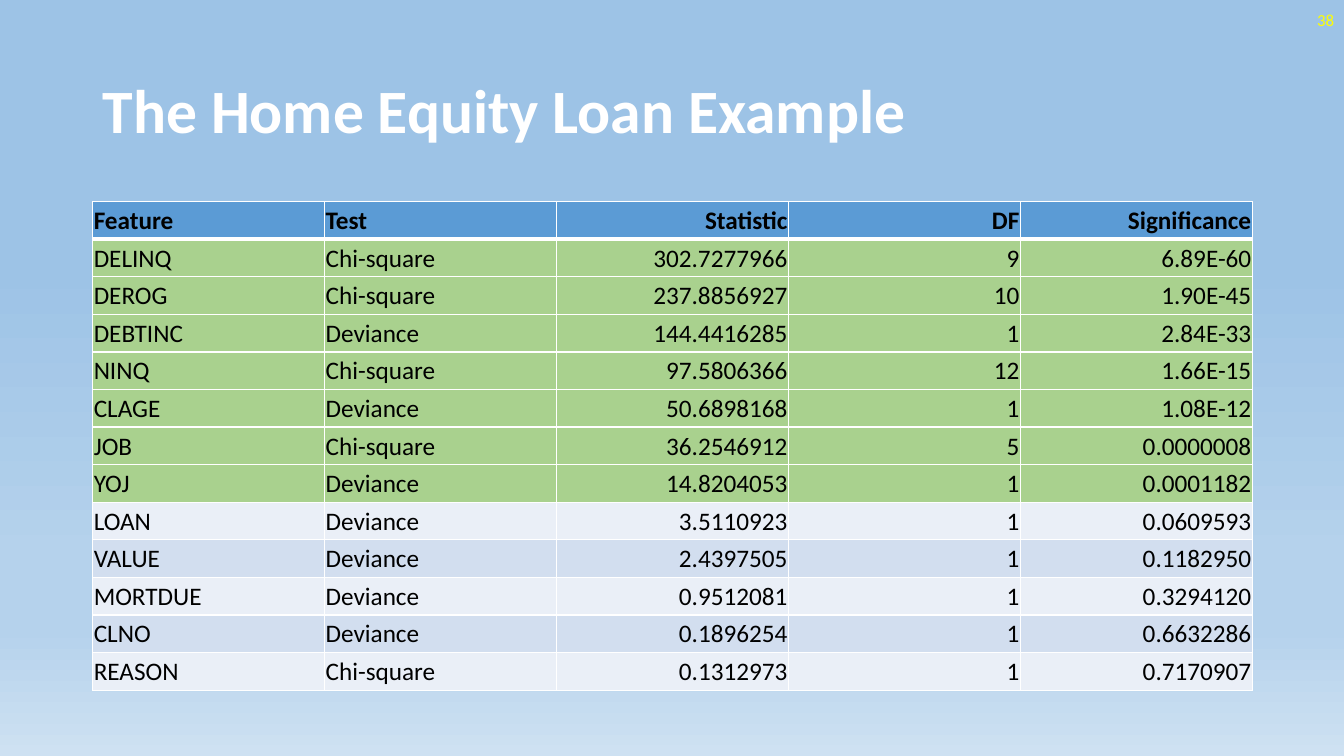
from lxml.etree import SubElement
from pptx import Presentation
from pptx.dml.color import RGBColor
from pptx.enum.text import MSO_ANCHOR as Anchor, PP_ALIGN as Align
from pptx.oxml.ns import qn
from pptx.util import Inches, Pt

WHITE = RGBColor(0xFF, 0xFF, 0xFF)
BLACK = RGBColor(0, 0, 0)
YELLOW = RGBColor(0xFF, 0xFF, 0)
HEADER_BLUE = RGBColor(0x5B, 0x9B, 0xD5)
GREEN = RGBColor(0xA9, 0xD1, 0x8E)
BAND_LIGHT = RGBColor(0xEA, 0xEF, 0xF7)
BAND_DARK = RGBColor(0xD2, 0xDE, 0xEF)
SKY = RGBColor(0x9D, 0xC3, 0xE6)
SKY_MID = RGBColor(0xB5, 0xD2, 0xEC)
SKY_PALE = RGBColor(0xCE, 0xE1, 0xF2)

ROWS = [
    ("Feature", "Test", "Statistic", "DF", "Significance"),
    ("DELINQ", "Chi-square", "302.7277966", "9", "6.89E-60"),
    ("DEROG", "Chi-square", "237.8856927", "10", "1.90E-45"),
    ("DEBTINC", "Deviance", "144.4416285", "1", "2.84E-33"),
    ("NINQ", "Chi-square", "97.5806366", "12", "1.66E-15"),
    ("CLAGE", "Deviance", "50.6898168", "1", "1.08E-12"),
    ("JOB", "Chi-square", "36.2546912", "5", "0.0000008"),
    ("YOJ", "Deviance", "14.8204053", "1", "0.0001182"),
    ("LOAN", "Deviance", "3.5110923", "1", "0.0609593"),
    ("VALUE", "Deviance", "2.4397505", "1", "0.1182950"),
    ("MORTDUE", "Deviance", "0.9512081", "1", "0.3294120"),
    ("CLNO", "Deviance", "0.1896254", "1", "0.6632286"),
    ("REASON", "Chi-square", "0.1312973", "1", "0.7170907"),
]
LAST_SIGNIFICANT = 7


def add_run(p, text, size, color, bold=False):
    r = p.add_run()
    r.text = text
    r.font.name = "Calibri"
    r.font.size = Pt(size)
    r.font.bold = bold
    r.font.color.rgb = color


def add_border(cell, side, width):
    ln = SubElement(cell._tc.get_or_add_tcPr(), qn(f"a:{side}"), w=str(Pt(width)))
    fill = SubElement(ln, qn("a:solidFill"))
    SubElement(fill, qn("a:srgbClr"), val=str(WHITE))


prs = Presentation()
prs.slide_width, prs.slide_height = Inches(13.33), Inches(7.5)
s = prs.slides.add_slide(prs.slide_layouts[6])

# Background gradient, top to bottom
bg = s.background.fill
bg.gradient()
bg.gradient_angle = 270
stops = s._element.find(".//" + qn("a:gsLst"))
for stop in list(stops):
    stops.remove(stop)
for percent, color in [(35, SKY), (74, SKY_MID), (83, SKY_MID), (100, SKY_PALE)]:
    stop = SubElement(stops, qn("a:gs"), pos=str(percent * 1000))
    SubElement(stop, qn("a:srgbClr"), val=str(color))

# Title and slide number
for text, box, size, color, bold, align in [
    ("The Home Equity Loan Example", (0.92, 0.4, 11.5, 1.45), 44, WHITE, True, Align.LEFT),
    ("38", (10.33, 0, 3, 0.4), 12, YELLOW, False, Align.RIGHT),
]:
    tf = s.shapes.add_textbox(*map(Inches, box)).text_frame
    tf.word_wrap = True
    tf.vertical_anchor = Anchor.MIDDLE
    p = tf.paragraphs[0]
    p.alignment = align
    p.line_spacing = 0.9 if bold else 1.0
    add_run(p, text, size, color, bold)

# Table of feature tests
table = s.shapes.add_table(len(ROWS), len(ROWS[0]), Inches(0.92), Inches(2),
                           Inches(11.5), Inches(4.85)).table
for i, row in enumerate(ROWS):
    if i == 0:
        row_fill = HEADER_BLUE
    elif i <= LAST_SIGNIFICANT:
        row_fill = GREEN
    else:
        row_fill = BAND_DARK if i % 2 else BAND_LIGHT
    for j, text in enumerate(row):
        cell = table.cell(i, j)
        cell.margin_left = cell.margin_top = cell.margin_right = Inches(0.01)
        cell.margin_bottom = 0
        cell.vertical_anchor = Anchor.MIDDLE
        add_border(cell, "lnL", 1)
        add_border(cell, "lnR", 1)
        add_border(cell, "lnT", 3 if i == 1 else 1)
        add_border(cell, "lnB", 3 if i == 0 else 1)
        cell.fill.solid()
        cell.fill.fore_color.rgb = row_fill
        p = cell.text_frame.paragraphs[0]
        p.alignment = Align.RIGHT if j >= 2 else Align.LEFT
        add_run(p, text, 18, BLACK, bold=i == 0)

prs.save("out.pptx")
